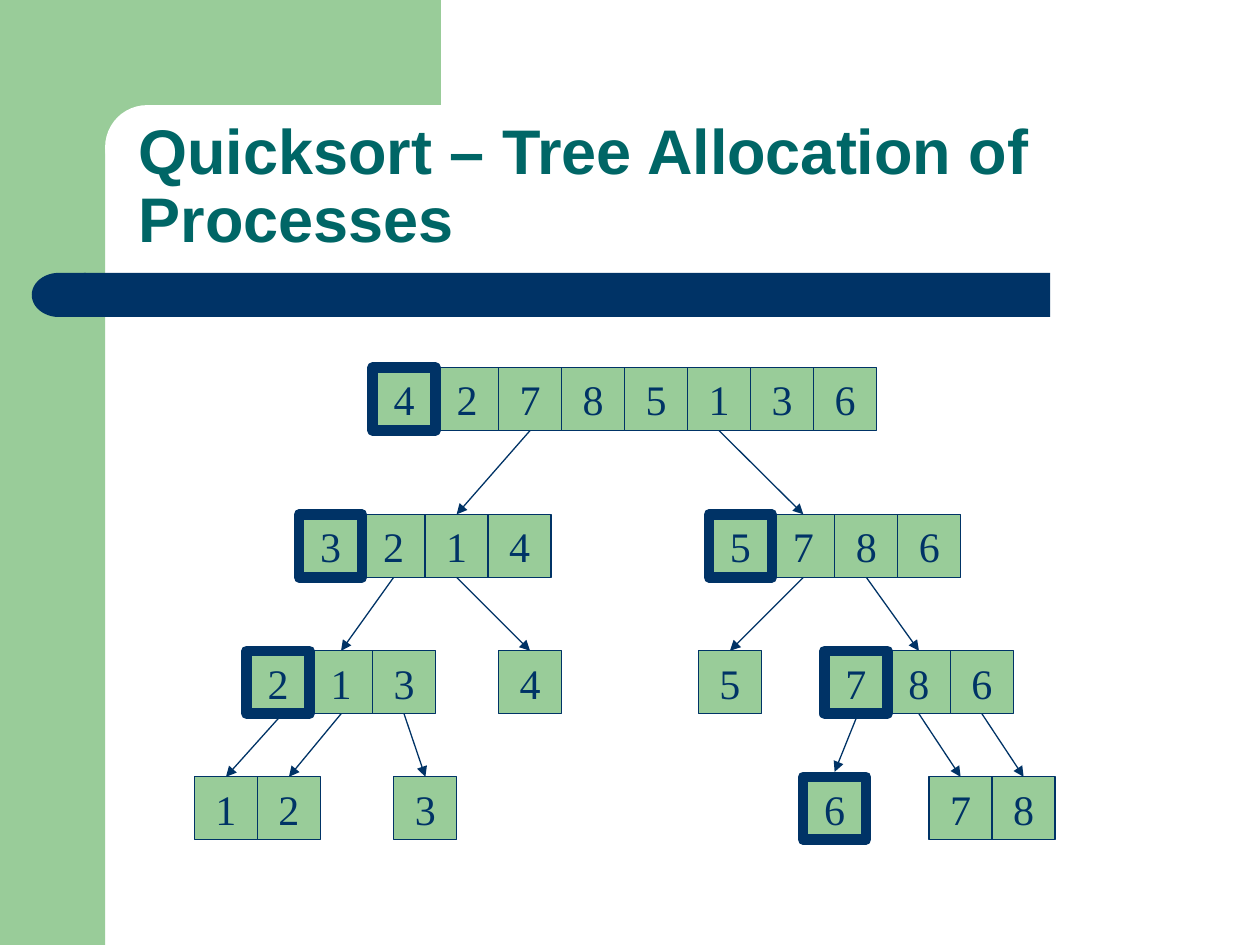
import pptx
import pptx.dml.color
import pptx.enum.shapes
import pptx.enum.text
import pptx.oxml
import pptx.oxml.ns
import pptx.util

Cm, Pt = pptx.util.Cm, pptx.util.Pt
SHAPE = pptx.enum.shapes.MSO_SHAPE
STRAIGHT = pptx.enum.shapes.MSO_CONNECTOR.STRAIGHT
ANCHOR = pptx.enum.text.MSO_ANCHOR
ALIGN = pptx.enum.text.PP_ALIGN

GREEN, NAVY, TEAL, WHITE = "99CC99", "003366", "006666", "FFFFFF"
CELL = 1.27
PIVOT_GAP = 0.1
TOP, BOTTOM = 0, 2

# name: (left, top, values, index of the pivot or None)
ARRAYS = {
    "root": (7.51, 7.41, "42785136", 0),
    "low": (6.03, 10.37, "3214", 0),
    "high": (14.29, 10.37, "5786", 0),
    "low_low": (4.97, 13.12, "213", 0),
    "low_high": (10.05, 13.12, "4", None),
    "high_low": (14.08, 13.12, "5", None),
    "high_high": (16.62, 13.12, "786", 0),
    "leaf_12": (3.92, 15.66, "12", None),
    "leaf_3": (7.94, 15.66, "3", None),
    "leaf_6": (16.19, 15.66, "6", 0),
    "leaf_78": (18.73, 15.66, "78", None),
}

# (parent array, cell index), (child array, cell index)
BRANCHES = [
    (("root", 2), ("low", 2)),
    (("root", 5), ("high", 1)),
    (("low", 1), ("low_low", 1)),
    (("low", 2), ("low_high", 0)),
    (("high", 1), ("high_low", 0)),
    (("high", 2), ("high_high", 1)),
    (("low_low", 0), ("leaf_12", 0)),
    (("low_low", 1), ("leaf_12", 1)),
    (("low_low", 2), ("leaf_3", 0)),
    (("high_high", 0), ("leaf_6", 0)),
    (("high_high", 1), ("leaf_78", 0)),
    (("high_high", 2), ("leaf_78", 1)),
]


def color(value):
    return pptx.dml.color.RGBColor.from_string(value)


def apply(target, formats):
    for name, value in formats.items():
        setattr(target, name, value)


class SlideWriter:
    """Holds the text styles and the current slide."""

    cell_font = {"name": "Times New Roman", "size": Pt(24)}
    title_font = {"name": "Arial", "size": Pt(36), "bold": True}

    def __init__(self, page):
        self.page = page

    def shape(self, kind, left, top, width, height, fill):
        shape = self.page.shapes.add_shape(
            kind, Cm(left), Cm(top), Cm(width), Cm(height))
        shape.shadow.inherit = False
        shape.fill.solid()
        shape.fill.fore_color.rgb = color(fill)
        shape.line.fill.background()
        return shape

    def title(self, text, left, top, width, height):
        box = self.page.shapes.title
        apply(box, {"left": Cm(left), "top": Cm(top),
                    "width": Cm(width), "height": Cm(height)})
        frame = box.text_frame
        apply(frame, {"text": text, "word_wrap": True,
                      "auto_size": pptx.enum.text.MSO_AUTO_SIZE.NONE,
                      "vertical_anchor": ANCHOR.BOTTOM})
        para = frame.paragraphs[0]
        apply(para, {"alignment": ALIGN.LEFT, "line_spacing": 0.9})
        span = para.runs[0]
        apply(span.font, self.title_font)
        span.font.color.rgb = color(TEAL)
        # Bring the title in front of the background shapes
        box.element.getparent().append(box.element)

    def cell(self, left, top, text, is_pivot):
        box = self.shape(SHAPE.RECTANGLE, left, top, CELL, CELL, GREEN)
        box.line.color.rgb = color(NAVY)
        box.line.width = Pt(6 if is_pivot else 0.75)
        frame = box.text_frame
        apply(frame, {"text": text, "word_wrap": False,
                      "vertical_anchor": ANCHOR.MIDDLE})
        para = frame.paragraphs[0]
        para.alignment = ALIGN.CENTER
        span = para.runs[0]
        apply(span.font, self.cell_font)
        span.font.color.rgb = color(NAVY)
        return box

    def array(self, left, top, values, pivot):
        """Draw a row of cells, the thick pivot last, and return them in order."""
        cells = {}
        for index in sorted(range(len(values)), key=lambda i: i == pivot):
            cells[index] = self.cell(
                left + index * CELL, top, values[index], index == pivot)
        return cells

    def arrow(self, parent, child, from_pivot, to_pivot):
        """Join two cells; at a pivot, stop at the edge of its thick border."""
        start_x = parent.left + parent.width // 2
        start_y = parent.top + parent.height + Cm(PIVOT_GAP)
        end_x = child.left + child.width // 2
        end_y = child.top - Cm(PIVOT_GAP)
        arrow = self.page.shapes.add_connector(
            STRAIGHT, start_x, start_y, end_x, end_y)
        if not from_pivot:
            arrow.begin_connect(parent, BOTTOM)
        if not to_pivot:
            arrow.end_connect(child, TOP)
        arrow.line.color.rgb = color(NAVY)
        arrow.line.width = Pt(0.75)
        head = pptx.oxml.parse_xml(
            '<a:tailEnd %s type="triangle"/>' % pptx.oxml.ns.nsdecls("a"))
        arrow.line._get_or_add_ln().append(head)
        effects = pptx.oxml.parse_xml(
            "<a:effectLst %s/>" % pptx.oxml.ns.nsdecls("a"))
        arrow._element.spPr.append(effects)


def main():
    deck = pptx.Presentation()
    deck.slide_width, deck.slide_height = Cm(25.4), Cm(19.05)
    writer = SlideWriter(deck.slides.add_slide(deck.slide_layouts[5]))

    writer.shape(SHAPE.RECTANGLE, 0, 0, 2.12, 19.05, GREEN)
    writer.shape(SHAPE.RECTANGLE, 1.91, 0, 6.98, 2.96, GREEN)
    panel = writer.shape(SHAPE.ROUNDED_RECTANGLE, 2.12, 2.12, 14.18, 1.69, WHITE)
    panel.adjustments[0] = 0.5
    writer.shape(SHAPE.RECTANGLE, 1.69, 5.5, 19.48, 0.89, NAVY)
    bar_end = writer.shape(SHAPE.FLOWCHART_DELAY, 0.64, 5.5, 1.09, 0.89, NAVY)
    bar_end.rotation = 180
    writer.title("Quicksort – Tree Allocation of Processes",
                 2.54, 2.12, 22.23, 3.18)

    arrays = {name: writer.array(*layout) for name, layout in ARRAYS.items()}
    for ends in BRANCHES:
        parent, child = (arrays[name][index] for name, index in ends)
        writer.arrow(parent, child,
                     *(ARRAYS[name][3] == index for name, index in ends))

    deck.save("out.pptx")


if __name__ == "__main__":
    main()
